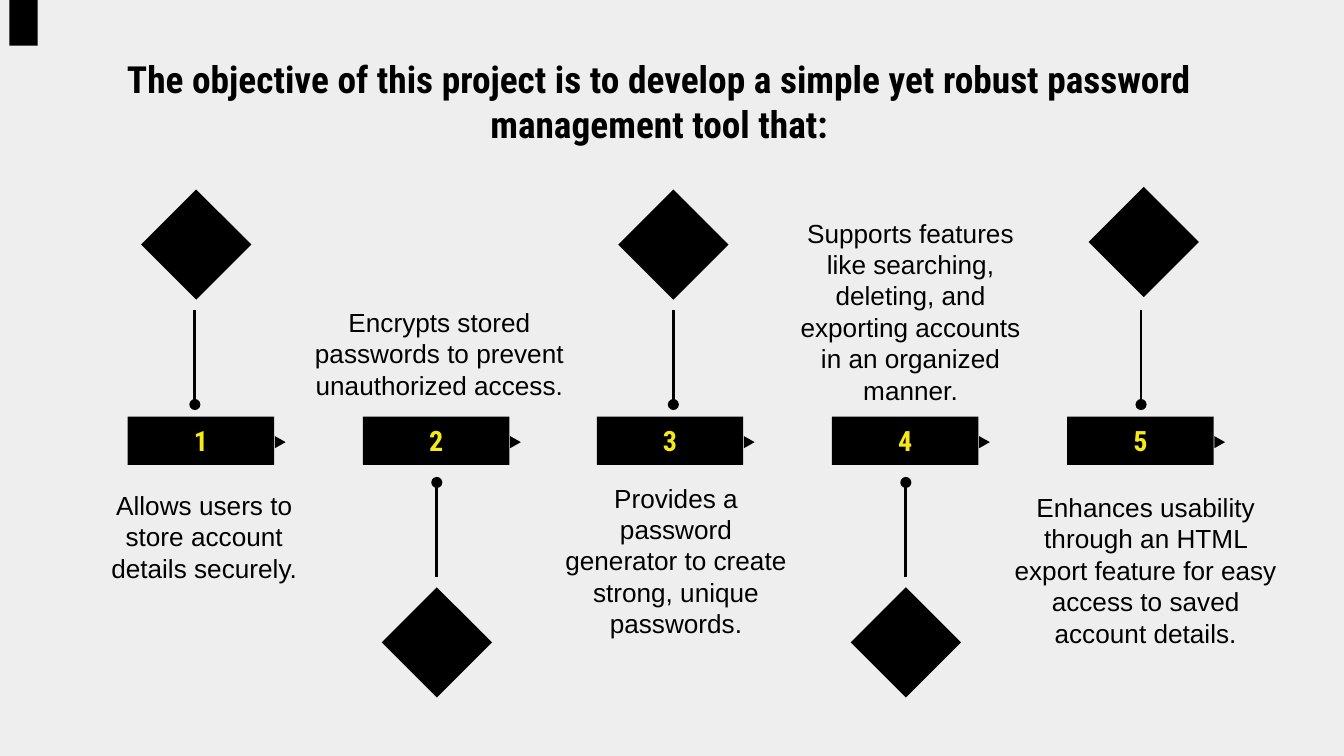
import pptx
import pptx.dml.color
import pptx.enum.shapes
import pptx.enum.text
import pptx.oxml
import pptx.oxml.ns
import pptx.util

PX = 9144
SHAPES = pptx.enum.shapes.MSO_SHAPE
THEME = {
    "background": pptx.dml.color.RGBColor.from_string("EFEEEF"),
    "ink": pptx.dml.color.RGBColor.from_string("000000"),
    "accent": pptx.dml.color.RGBColor.from_string("F5EA15"),
    "heading_font": "Roboto Condensed",
    "body_font": "Arial",
    "title_size": 20,
    "number_size": 15,
    "body_size": 14,
    "line_width": 1.5,
}

presentation = pptx.Presentation()
presentation.slide_width = 1000 * PX
presentation.slide_height = pptx.util.Inches(5.625)
slide = presentation.slides.add_slide(presentation.slide_layouts[6])
slide.background.fill.solid()
slide.background.fill.fore_color.rgb = THEME["background"]


def add_solid(kind, left, top, width, height):
    shape = slide.shapes.add_shape(kind, left * PX, top * PX, width * PX, height * PX)
    shape.shadow.inherit = False
    shape.fill.solid()
    shape.fill.fore_color.rgb = THEME["ink"]
    shape.line.fill.background()
    return shape


def write_text(shape, text, font, size, color, bold=False):
    frame = shape.text_frame
    frame.word_wrap = True
    frame.vertical_anchor = pptx.enum.text.MSO_ANCHOR.MIDDLE
    frame.margin_left = frame.margin_right = 10 * PX
    frame.margin_top = frame.margin_bottom = 10 * PX
    paragraph = frame.paragraphs[0]
    paragraph.text = text
    paragraph.alignment = pptx.enum.text.PP_ALIGN.CENTER
    paragraph.font.name = font
    paragraph.font.size = pptx.util.Pt(size)
    paragraph.font.bold = bold
    paragraph.font.color.rgb = THEME[color]


add_solid(SHAPES.RECTANGLE, 7, -6, 21, 40)

title = slide.shapes.add_textbox(78 * PX, 59 * PX, 825 * PX, 32 * PX)
write_text(
    title,
    "The objective of this project is to develop a simple yet robust password management tool that:",
    THEME["heading_font"], THEME["title_size"], "ink", True,
)

steps = [
    ("Allows users to store account details securely.", (56, 374, 192, 50), (105, 141), 145),
    ("Encrypts stored passwords to prevent unauthorized access.", (223, 238, 208, 50), (284, 437), 325),
    ("Provides a password generator to create strong, unique passwords.", (409, 389, 188, 56), (460, 141), 501),
    ("Supports features like searching, deleting, and exporting accounts in an organized manner.",
     (578, 176, 199, 111), (633, 437), 674),
    ("Enhances usability through an HTML export feature for easy access to saved account details.",
     (741, 399, 223, 50), (810, 139), 849),
]

for index, (description, box, diamond, stem_x) in enumerate(steps):
    left, top, width, height = box
    caption = slide.shapes.add_textbox(left * PX, top * PX, width * PX, height * PX)
    write_text(caption, description, THEME["body_font"], THEME["body_size"], "ink")

    add_solid(SHAPES.DIAMOND, *diamond, 82, 82)

    label_left = round(95 + 174.75 * index)
    label = add_solid(SHAPES.RECTANGLE, label_left, 310, 109, 36)
    write_text(label, str(index + 1), THEME["heading_font"], THEME["number_size"], "accent", True)
    pointer = add_solid(SHAPES.ISOSCELES_TRIANGLE, label_left + 109, 325, 9, 8)
    pointer.rotation = 90

    stem_start, stem_end = (231, 301) if index % 2 == 0 else (429, 359)
    stem = slide.shapes.add_connector(
        pptx.enum.shapes.MSO_CONNECTOR.STRAIGHT,
        stem_x * PX, stem_start * PX, stem_x * PX, stem_end * PX,
    )
    stem.line.color.rgb = THEME["ink"]
    stem.line.width = pptx.util.Pt(THEME["line_width"])
    tail = pptx.oxml.parse_xml(f'<a:tailEnd {pptx.oxml.ns.nsdecls("a")} type="oval"/>')
    stem.line._get_or_add_ln().append(tail)
    effects = pptx.oxml.parse_xml(f'<a:effectLst {pptx.oxml.ns.nsdecls("a")}/>')
    stem._element.spPr.append(effects)

presentation.save("out.pptx")
